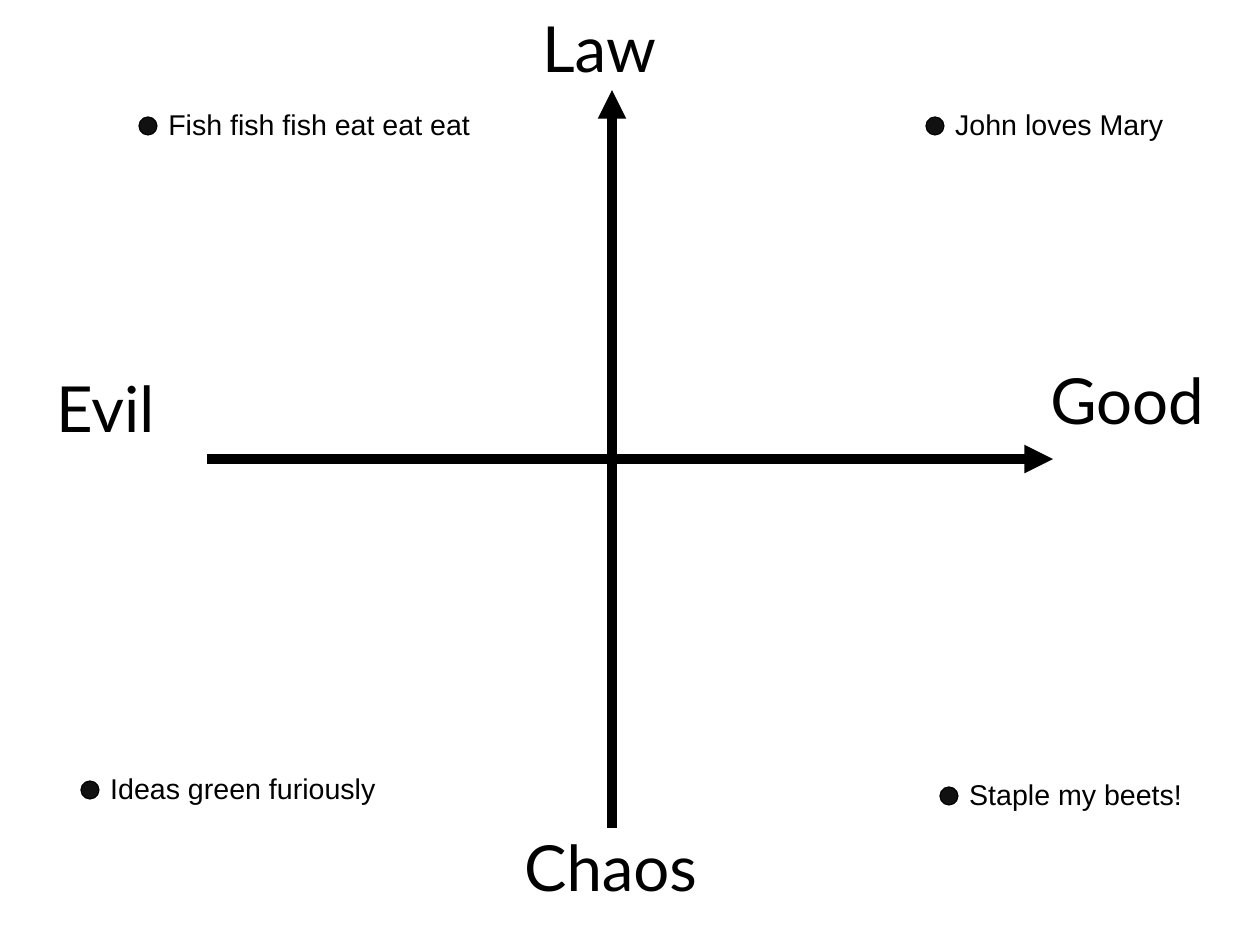
"""Draw the alignment chart: two crossing arrows, four poles and four marked sentences."""
from pptx import Presentation
from pptx.dml.color import RGBColor as RGB
from pptx.enum.shapes import MSO_CONNECTOR as LINE, MSO_SHAPE as SHAPE
from pptx.enum.text import MSO_AUTO_SIZE as FIT
from pptx.oxml.ns import qn
from pptx.util import Pt
from lxml.etree import SubElement

SLIDE = (1260, 945)
AXES = [((207, 459), (1053, 459)), ((612, 828), (612, 90))]
POLES = [
    ("Law", (531, 3, 153, 113)),
    ("Chaos", (513, 822, 216, 113)),
    ("Good", (1039, 355, 202, 113)),
    ("Evil", (45, 363, 144, 113)),
]
SENTENCES = [
    ("John loves Mary", (926, 117), (243, 43)),
    ("Staple my beets!", (940, 787), (243, 43)),
    ("Ideas green furiously", (81, 781), (333, 75)),
    ("Fish fish fish eat eat eat", (139, 117), (328, 75)),
]
THEME = {
    "ink": RGB(0, 0, 0),
    "dot": RGB(0x11, 0x11, 0x11),
    "axis": 6,
    "pole": {"font": "Lato", "size": 40},
    "sentence": {"font": "Arial", "size": 18},
}
EMU_PER_PX = 8000
DOT, RISE = 18, 16


def px(*lengths):
    return [n * EMU_PER_PX for n in lengths]


def add_text(s, text, box, font, size):
    tf = s.shapes.add_textbox(*px(*box)).text_frame
    tf.word_wrap = True
    tf.auto_size = FIT.SHAPE_TO_FIT_TEXT
    r = tf.paragraphs[0].add_run()
    r.text = text
    r.font.name, r.font.size = font, Pt(size)
    r.font.color.rgb = THEME["ink"]


def add_axis(s, start, end):
    axis = s.shapes.add_connector(LINE.STRAIGHT, *px(*start, *end))
    axis.line.width = Pt(THEME["axis"])
    axis.line.color.rgb = THEME["ink"]
    SubElement(axis.line._get_or_add_ln(), qn("a:tailEnd"), type="triangle")
    SubElement(axis._element.spPr, qn("a:effectLst"))


def add_dot(s, x, y):
    dot = s.shapes.add_shape(SHAPE.OVAL, *px(x, y, DOT, DOT))
    dot.shadow.inherit = False
    dot.fill.solid()
    dot.fill.fore_color.rgb = THEME["dot"]
    dot.line.color.rgb = THEME["ink"]
    dot.line.width = Pt(0)


def main():
    prs = Presentation()
    prs.slide_width, prs.slide_height = px(*SLIDE)
    s = prs.slides.add_slide(prs.slide_layouts[6])
    for start, end in AXES:
        add_axis(s, start, end)
    for text, box in POLES:
        add_text(s, text, box, **THEME["pole"])
    for text, (x, y), size in SENTENCES:
        add_dot(s, x, y)
        add_text(s, text, (x + DOT, y - RISE, *size), **THEME["sentence"])
    prs.save("out.pptx")


if __name__ == "__main__":
    main()
